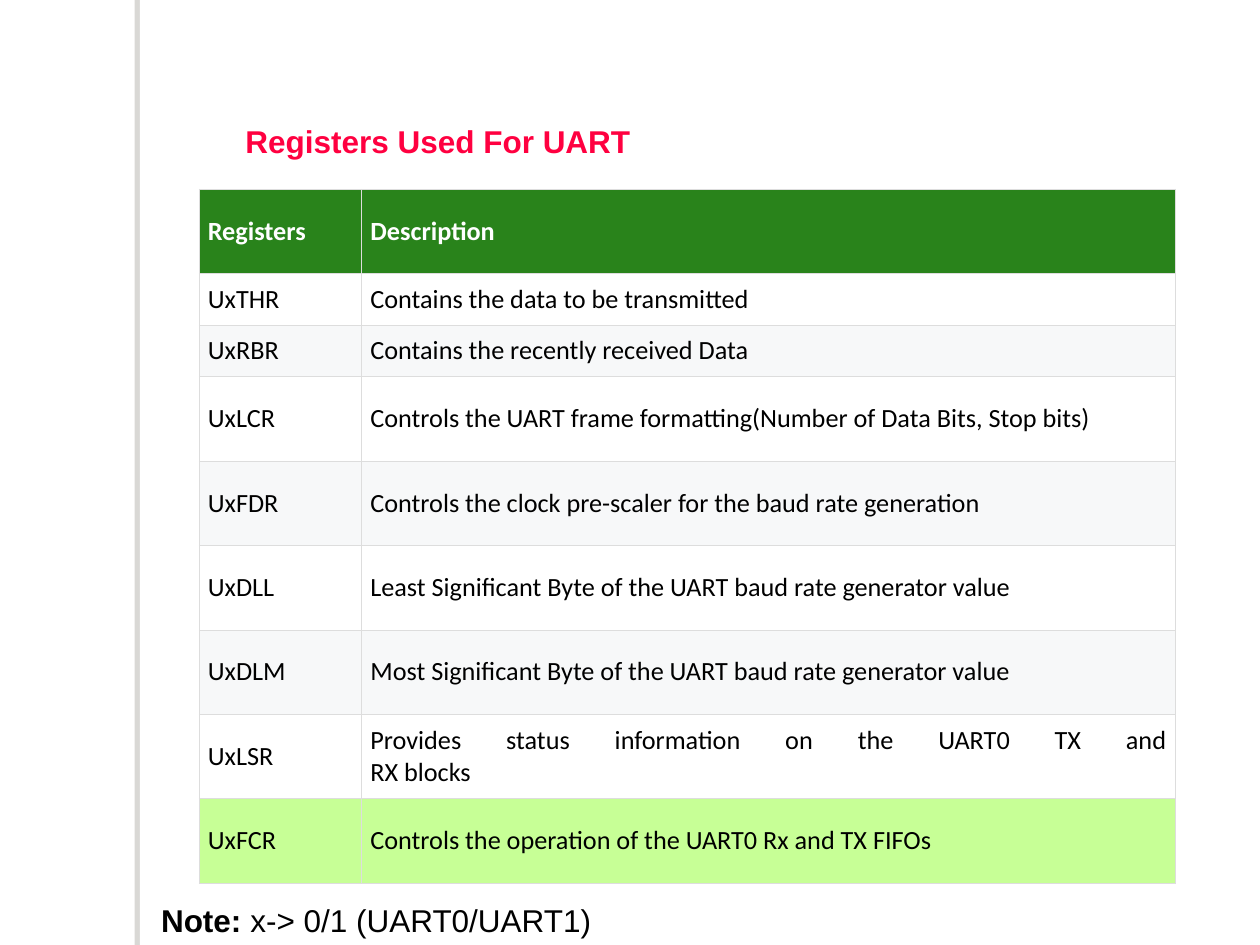
from lxml.etree import SubElement
from pptx import Presentation
from pptx.dml.color import RGBColor
from pptx.enum.shapes import MSO_SHAPE
from pptx.enum.text import MSO_ANCHOR, MSO_AUTO_SIZE, PP_ALIGN
from pptx.oxml.ns import qn
from pptx.util import Inches, Pt

WIDTH, HEIGHT = 10, 7.5
TITLE = [("Registers Used For UART", True)]
NOTE = [("Note:", True), (" x-> 0/1 (UART0/UART1)", False)]
TALL, SHORT = 0.67, 0.41
HEADER, PLAIN, BAND, ACCENT = "29831B", "FFFFFF", "F7F8F9", "C7FF96"
REGISTERS = [
    ("Registers", "Description", TALL, HEADER),
    ("UxTHR", "Contains the data to be transmitted", SHORT, PLAIN),
    ("UxRBR", "Contains the recently received Data", SHORT, BAND),
    ("UxLCR", "Controls the UART frame formatting(Number of Data Bits, Stop bits)", TALL, PLAIN),
    ("UxFDR", "Controls the clock pre-scaler for the baud rate generation", TALL, BAND),
    ("UxDLL", "Least Significant Byte of the UART baud rate generator value", TALL, PLAIN),
    ("UxDLM", "Most Significant Byte of the UART baud rate generator value", TALL, BAND),
    ("UxLSR", "Provides status information on the UART0 TX and\nRX blocks", TALL, PLAIN),
    ("UxFCR", "Controls the operation of the UART0 Rx and TX FIFOs", TALL, ACCENT),
]
COLUMNS = (1.29, 6.46)
TABLE_LEFT, TABLE_TOP = 1.58, 1.5
CELL_FORMAT = {
    "margin_left": Inches(0.07), "margin_right": Inches(0.07),
    "margin_top": Inches(0.05), "margin_bottom": Inches(0.05),
    "vertical_anchor": MSO_ANCHOR.MIDDLE,
}


def color(code):
    return RGBColor.from_string(code)


def add_run(paragraph, words, face, size, code, bold):
    run = paragraph.add_run()
    run.text = words
    for key, value in {"name": face, "size": Pt(size), "bold": bold}.items():
        setattr(run.font, key, value)
    run.font.color.rgb = color(code)


def add_label(slide, place, runs, code):
    label = slide.shapes.add_textbox(*map(Inches, place))
    frame = label.text_frame
    frame.word_wrap = False
    frame.auto_size = MSO_AUTO_SIZE.SHAPE_TO_FIT_TEXT
    paragraph = frame.paragraphs[0]
    paragraph.alignment = PP_ALIGN.LEFT
    for words, bold in runs:
        add_run(paragraph, words, "Arial", 18, code, bold)


def add_panel(slide):
    panel = slide.shapes.add_shape(
        MSO_SHAPE.RECTANGLE, Inches(1.11), 0, Inches(0.08), Inches(HEIGHT))
    panel.fill.solid()
    panel.fill.fore_color.rgb = color("FFFFFF")
    panel.line.fill.background()
    panel.shadow.inherit = False
    effects = panel.element.spPr.find(qn("a:effectLst"))
    shadow = SubElement(effects, qn("a:outerShdw"), blurRad="0", dist=str(Pt(3)),
                        dir="10800000", algn="tl", rotWithShape="0")
    shade = SubElement(shadow, qn("a:srgbClr"), val="706B5F")
    SubElement(shade, qn("a:alpha"), val="25000")


def add_borders(cell):
    properties = cell._tc.get_or_add_tcPr()
    for side in ("a:lnL", "a:lnR", "a:lnT", "a:lnB"):
        border = SubElement(properties, qn(side), w=str(Pt(0.34)))
        paint = SubElement(border, qn("a:solidFill"))
        SubElement(paint, qn("a:srgbClr"), val="DDDDDD")


def fill_cell(cell, words, background):
    for key, value in CELL_FORMAT.items():
        setattr(cell, key, value)
    add_borders(cell)
    cell.fill.solid()
    cell.fill.fore_color.rgb = color(background)
    paragraph = cell.text_frame.paragraphs[0]
    paragraph.alignment = PP_ALIGN.JUSTIFY
    is_header = background == HEADER
    for number, line in enumerate(words.split("\n")):
        if number:
            paragraph.add_line_break()
            SubElement(paragraph._p[-1], qn("a:rPr"), sz="1500")
        add_run(paragraph, line, "Calibri", 15, "FFFFFF" if is_header else "000000", is_header)


def add_registers(slide):
    total = sum(height for _, _, height, _ in REGISTERS)
    place = (TABLE_LEFT, TABLE_TOP, sum(COLUMNS), total)
    table = slide.shapes.add_table(
        len(REGISTERS), len(COLUMNS), *map(Inches, place)).table
    for column, width in zip(table.columns, COLUMNS):
        column.width = Inches(width)
    for row, (register, description, height, background) in zip(table.rows, REGISTERS):
        row.height = Inches(height)
        for cell, words in zip(row.cells, (register, description)):
            fill_cell(cell, words, background)


def main():
    """Build the slide that lists the UART registers."""
    deck = Presentation()
    deck.slide_width, deck.slide_height = Inches(WIDTH), Inches(HEIGHT)
    slide = deck.slides.add_slide(deck.slide_layouts[6])
    add_panel(slide)
    add_label(slide, (1.85, 0.92, 3.27, 0.4), TITLE, "FF0040")
    add_registers(slide)
    add_label(slide, (1.18, 7.1, 3.62, 0.4), NOTE, "000000")
    deck.save("out.pptx")


if __name__ == "__main__":
    main()
